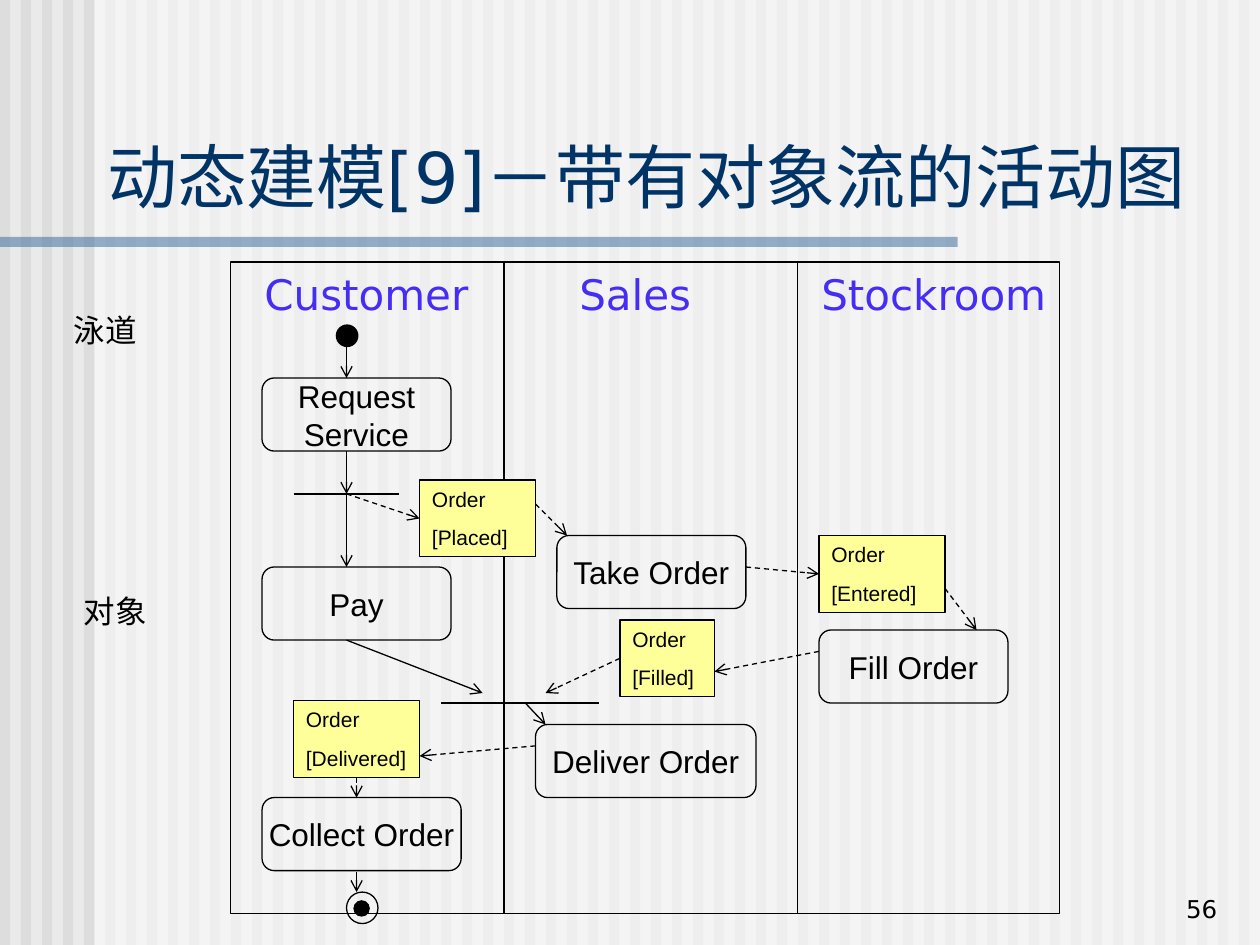
from dataclasses import dataclass
from lxml import etree
from pptx import Presentation
from pptx.dml.color import RGBColor
from pptx.enum.dml import MSO_LINE
from pptx.enum.shapes import MSO_CONNECTOR, MSO_SHAPE
from pptx.enum.text import MSO_ANCHOR, MSO_AUTO_SIZE, PP_ALIGN
from pptx.oxml.ns import qn
from pptx.util import Inches, Pt

RECT, ROUND, OVAL = MSO_SHAPE.RECTANGLE, MSO_SHAPE.ROUNDED_RECTANGLE, MSO_SHAPE.OVAL
STRAIGHT, DASH = MSO_CONNECTOR.STRAIGHT, MSO_LINE.DASH
TOP, MIDDLE, BOTTOM = MSO_ANCHOR.TOP, MSO_ANCHOR.MIDDLE, MSO_ANCHOR.BOTTOM
LEFT, CENTER, RIGHT = PP_ALIGN.LEFT, PP_ALIGN.CENTER, PP_ALIGN.RIGHT


@dataclass
class Theme:
    back: str = "EAEAEA"
    stripe: str = "DDDDDD"
    veil: str = "FFFFFF"
    rule: str = "336699"
    title: str = "003366"
    lane: str = "452DF5"
    ink: str = "000000"
    note: str = "FFFF99"
    title_size: int = 40
    lane_size: int = 24
    body_size: int = 18
    number_size: int = 14
    note_size: int = 12
    line_width: float = 0.75
    head_font: str = "DejaVu Sans"
    body_font: str = "Arial"


theme = Theme()
prs = Presentation()
prs.slide_width, prs.slide_height = Inches(10), Inches(7.5)
s = prs.slides.add_slide(prs.slide_layouts[5])
s.background.fill.solid()
s.background.fill.fore_color.rgb = RGBColor.from_string(theme.back)


def add_box(kind, at, fill=None, line=None, alpha=None):
    sp = s.shapes.add_shape(kind, *map(Inches, at))
    sp.shadow.inherit = False
    if fill:
        sp.fill.solid()
        sp.fill.fore_color.rgb = RGBColor.from_string(fill)
    else:
        sp.fill.background()
    if line:
        sp.line.color.rgb = RGBColor.from_string(line)
        sp.line.width = Pt(theme.line_width)
    else:
        sp.line.fill.background()
    if alpha:
        color = sp.fill._xPr.find(qn("a:solidFill"))[0]
        etree.SubElement(color, qn("a:alpha")).set("val", str(alpha * 1000))
    return sp


def set_text(sp, text, size, font, color, align=LEFT, anchor=TOP, wrap=True, gap=0):
    tf = sp.text_frame
    tf.text = text
    tf.word_wrap = wrap
    tf.vertical_anchor = anchor
    for i, p in enumerate(tf.paragraphs):
        p.alignment = align
        p.space_before = Pt(gap if i else 0)
        for r in p.runs:
            r.font.size = Pt(size)
            r.font.name = font
            r.font.color.rgb = RGBColor.from_string(color)


for i in range(60):
    add_box(RECT, (i / 6, 0, 0.08, 7.5), theme.stripe)
add_box(RECT, (0.75, 0, 9.25, 7.5), theme.veil, alpha=50)
add_box(RECT, (0, 1.88, 7.6, 0.08), theme.rule, alpha=50)

title = s.shapes.title
title.left, title.top, title.width, title.height = map(Inches, (0.75, 1.01, 8.93, 0.77))
set_text(title, "动态建模[9]－带有对象流的活动图", theme.title_size, theme.head_font,
         theme.title, anchor=BOTTOM)
title.text_frame.auto_size = MSO_AUTO_SIZE.SHAPE_TO_FIT_TEXT
s.shapes._spTree.append(title._element)

add_box(RECT, (1.83, 2.08, 6.58, 5.17), line=theme.ink)

labels = [
    ("Customer", (2, 2.08, 1.83, 0.5), theme.lane_size, theme.head_font, theme.lane, LEFT, TOP),
    ("Sales", (4.5, 2.08, 1.67, 0.5), theme.lane_size, theme.head_font, theme.lane, LEFT, TOP),
    ("Stockroom", (6.42, 2.08, 2.08, 0.5), theme.lane_size, theme.head_font, theme.lane, LEFT, TOP),
    ("泳道", (0.42, 2.42, 0.83, 0.4), theme.body_size, theme.body_font, theme.ink, CENTER, TOP),
    ("对象", (0.5, 4.65, 0.83, 0.4), theme.body_size, theme.body_font, theme.ink, CENTER, TOP),
    ("56", (7.68, 6.88, 2.08, 0.5), theme.number_size, theme.head_font, theme.ink, RIGHT, BOTTOM),
]
for text, at, size, font, color, align, anchor in labels:
    sp = s.shapes.add_textbox(*map(Inches, at))
    set_text(sp, text, size, font, color, align, anchor)

activities = [
    ("Request\nService", 2.08, 3, 1.5),
    ("Pay", 2.08, 4.5, 1.5),
    ("Take Order", 4.42, 4.25, 1.5),
    ("Fill Order", 6.5, 5, 1.5),
    ("Deliver Order", 4.25, 5.75, 1.75),
    ("Collect Order", 2.08, 6.33, 1.58),
]
for text, x, y, w in activities:
    sp = add_box(ROUND, (x, y, w, 0.58), line=theme.ink)
    set_text(sp, text, theme.body_size, theme.body_font, theme.ink, CENTER, MIDDLE, wrap=False)

add_box(OVAL, (2.67, 2.58, 0.17, 0.17), theme.ink, theme.ink)
add_box(OVAL, (2.75, 7.08, 0.25, 0.25), line=theme.ink)
add_box(OVAL, (2.81, 7.15, 0.12, 0.12), theme.ink, theme.ink)

notes = {}
for state, x, y, w in [
    ("Placed", 3.33, 3.81, 0.92),
    ("Entered", 6.5, 4.25, 1),
    ("Filled", 4.92, 4.92, 0.75),
    ("Delivered", 2.33, 5.56, 1),
]:
    sp = notes[state] = add_box(RECT, (x, y, w, 0.61), theme.note, theme.ink)
    set_text(sp, f"Order\n[{state}]", theme.note_size, theme.body_font, theme.ink, gap=7.5)

plain_lines = [
    (4, 2.08, 4, 3.81), (4, 4.42, 4, 7.25), (6.33, 2.08, 6.33, 7.25),
    (2.33, 3.92, 3.17, 3.92), (3.5, 5.58, 4.75, 5.58),
]
control_flows = [
    (2.75, 2.75, 2.75, 3), (2.75, 3.58, 2.75, 3.92), (2.75, 3.92, 2.75, 4.5),
    (2.75, 5.08, 3.83, 5.5), (4.17, 5.58, 4.33, 5.75), (2.83, 6.92, 2.83, 7.08),
]
object_flows = [
    (2.75, 3.92, 3.33, 4.08), (4.25, 4, 4.5, 4.25), (5.92, 4.5, 6.5, 4.58),
    (7.5, 4.67, 7.75, 5), (6.5, 5.17, 5.67, 5.33), (4.92, 5.25, 4.33, 5.5),
    (4.25, 5.92, 3.33, 6), (2.83, 6.17, 2.83, 6.33),
]
begins = {(4.92, 5.25): ("Filled", 1), (2.83, 6.17): ("Delivered", 2)}
ends = {(3.33, 4.08): ("Placed", 1), (6.5, 4.58): ("Entered", 1)}
for lines, arrow, dashed in [
    (plain_lines, False, False),
    (control_flows, True, False),
    (object_flows, True, True),
]:
    for line in lines:
        cxn = s.shapes.add_connector(STRAIGHT, *map(Inches, line))
        cxn.line.color.rgb = RGBColor.from_string(theme.ink)
        cxn.line.width = Pt(theme.line_width)
        if dashed:
            cxn.line.dash_style = DASH
        if arrow:
            etree.SubElement(cxn.line._get_or_add_ln(), qn("a:tailEnd")).set("type", "arrow")
        etree.SubElement(cxn._element.spPr, qn("a:effectLst"))
        if line[:2] in begins:
            state, side = begins[line[:2]]
            cxn.begin_connect(notes[state], side)
        if line[2:] in ends:
            state, side = ends[line[2:]]
            cxn.end_connect(notes[state], side)

prs.save("out.pptx")
